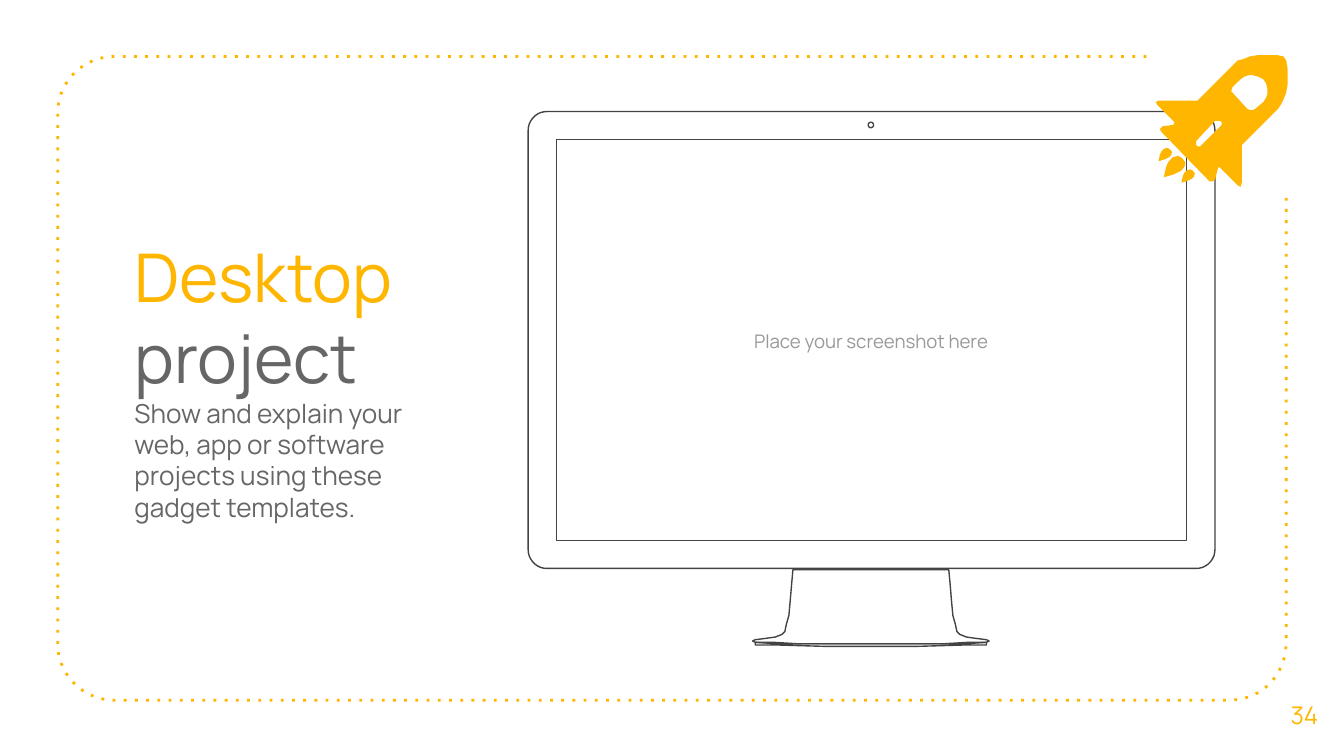
from math import cos, radians, sin

from lxml import etree
from pptx import Presentation
from pptx import util as u
from pptx.dml import color
from pptx.enum import text
from pptx.oxml import ns

HUES = {"gold": "FFB600", "white": "FFFFFF", "ink": "434343",
        "gray": "666666", "pale": "999999"}
FONT = "Manrope"
MID = 6.48

STAND = [(5.9, 4.24), (5.89, 4.35), (5.88, 4.47), (5.87, 4.58), (5.85, 4.65),
         (5.84, 4.7), (5.82, 4.72), (5.77, 4.74), (5.7, 4.75), (5.62, 4.76),
         (5.6, 4.77), (5.62, 4.78), (5.76, 4.78), (5.93, 4.79)]
FOOT = [(6.15, 4.79), (5.78, 4.79), (5.62, 4.78), (5.62, 4.8), (5.8, 4.8), (6.15, 4.81)]
BODY = [(9.42, .41), (9.36, .41), (9.3, .42), (9.25, .44), (9.21, .45), (9.18, .48),
        (8.91, .75), (8.62, .75), (8.6, .76), (8.61, .78), (8.74, .91), (8.73, .93),
        (8.65, .94), (8.63, .96), (8.64, .98), (9, 1.35), (9.02, 1.35), (9.04, 1.34),
        (9.06, 1.26), (9.07, 1.24), (9.21, 1.38), (9.23, 1.39), (9.24, 1.36),
        (9.24, 1.08), (9.51, .81), (9.53, .78), (9.55, .74), (9.57, .69), (9.58, .63),
        (9.58, .51), (9.57, .45), (9.55, .42), (9.5, .41)]
PORT = [(9.32, .56), (9.36, .57), (9.4, .59), (9.42, .62), (9.43, .66), (9.43, .7),
        (9.42, .73), (9.4, .76), (9.34, .81), (9.32, .82), (9.3, .82), (9.28, .81),
        (9.18, .7), (9.16, .68), (9.17, .65), (9.23, .59), (9.26, .57), (9.29, .56)]
SLOT = [(9.06, .9), (9.08, .9), (9.09, .91), (9.09, .93), (9.08, .94), (8.94, 1.08),
        (8.93, 1.09), (8.91, 1.09), (8.9, 1.08), (8.9, 1.05), (9.04, .9)]
FLAME = [(.65, 0), (.4, .08), (.2, .3), (.1, .55), (0, 1), (.45, .87), (.8, .7),
         (.97, .5), (1, .3), (.85, .1)]


def rgb(name):
    """Give the named hue as a colour."""
    return color.RGBColor.from_string(HUES[name])


def ring(left, top, right, low, rad):
    """Trace a rounded box from its top left corner, going down first."""
    mids = [(left + rad, top + rad), (left + rad, low - rad),
            (right - rad, low - rad), (right - rad, top + rad)]
    return [(x + rad * cos(radians(a)), y + rad * sin(radians(a)))
            for k, (x, y) in enumerate(mids)
            for a in range(270 - 90 * k, 179 - 90 * k, -10)]


def mirror(half):
    """Close a left half with its reflection about the screen's middle."""
    return half + [(2 * MID - x, y) for x, y in reversed(half)]


def draw(slide, paths, fill=None, line=None, width=.75, close=True):
    """Draw one freeform from point lists in inches."""
    grid = [[(round(x * 1000), round(y * 1000)) for x, y in p] for p in paths]
    pen = slide.shapes.build_freeform(*grid[0][0], scale=u.Inches(1) / 1000)
    for k, pts in enumerate(grid):
        if k:
            pen.move_to(*pts[0])
        pen.add_line_segments(pts[1:], close=close)
    shape = pen.convert_to_shape()
    shape.shadow.inherit = False
    for part, hue in ((shape.fill, fill), (shape.line.fill, line)):
        if hue:
            part.solid()
            part.fore_color.rgb = rgb(hue)
        else:
            part.background()
    if line:
        shape.line.width = u.Pt(width)
    return shape


def write(box, place, paras, align):
    """Place a text box and fill it with paragraphs of (text, size, hue) runs."""
    for key, val in zip(("left", "top", "width", "height"), place):
        setattr(box, key, u.Inches(val))
    frame = box.text_frame
    form = {"word_wrap": True, "auto_size": text.MSO_AUTO_SIZE.NONE,
            "vertical_anchor": text.MSO_ANCHOR.MIDDLE}
    form.update({f"margin_{s}": u.Inches(.1) for s in ("left", "top", "right", "bottom")})
    for key, val in form.items():
        setattr(frame, key, val)
    for k, runs in enumerate(paras):
        para = frame.add_paragraph() if k else frame.paragraphs[0]
        para.alignment, para.line_spacing = align, 1.0
        para.space_before = para.space_after = u.Pt(0)
        for words, size, hue in runs:
            run = para.add_run()
            run.text = words
            for key, val in {"name": FONT, "size": u.Pt(size)}.items():
                setattr(run.font, key, val)
            run.font.color.rgb = rgb(hue)


def border(slide):
    """Draw the dotted frame, open at the rocket's corner."""
    edge = ring(.43, .42, 9.57, 5.21, .42)
    pts = [(8.53, .42)] + edge[:30] + [(9.57, 1.46)]
    shape = draw(slide, [pts], line="gold", width=1.5, close=False)
    dash = etree.SubElement(shape.line._get_or_add_ln(), ns.qn("a:prstDash"))
    dash.set("val", "dot")


def screen(slide):
    """Draw the desktop monitor."""
    glass = [(8.83, 1.04), (8.83, 4.02), (4.14, 4.02), (4.14, 1.04)]
    lens = ring(MID - .02, .91, MID + .02, .95, .02)
    case = ring(3.93, .83, 9.04, 4.23, .14)
    draw(slide, [lens, glass, case, mirror(STAND), mirror(FOOT)], "white", "ink")


def rocket(slide):
    """Draw the rocket and its three flames."""
    draw(slide, [PORT, SLOT, BODY], "gold")
    for left, top, size in ((8.66, 1.16, .16), (8.79, 1.26, .1), (8.62, 1.1, .1)):
        draw(slide, [[(left + x * size, top + y * size) for x, y in FLAME]], "gold")


def main():
    """Build and save the slide."""
    deck = Presentation()
    deck.slide_width, deck.slide_height = u.Inches(10), u.Inches(10) * 9 // 16
    slide = deck.slides.add_slide(deck.slide_layouts[5])
    border(slide)
    screen(slide)
    mid = text.PP_ALIGN.CENTER
    story = "Show and explain your web, app or software projects using these gadget templates."
    write(slide.shapes.title, (.9, .42, 2.48, 4.8),
          [[("Desktop ", 36, "gold"), ("project", 36, "gray")], [(story, 14, "gray")]],
          text.PP_ALIGN.LEFT)
    for place, words, size, hue in (
            ((4.14, 1.04, 4.68, 2.99), "Place your screenshot here", 10, "pale"),
            ((9.41, 5.02, .59, .6), "34", 13, "gold")):
        box = slide.shapes.add_textbox(0, 0, 0, 0)
        write(box, place, [[(words, size, hue)]], mid)
    rocket(slide)
    deck.save("out.pptx")


if __name__ == "__main__":
    main()
